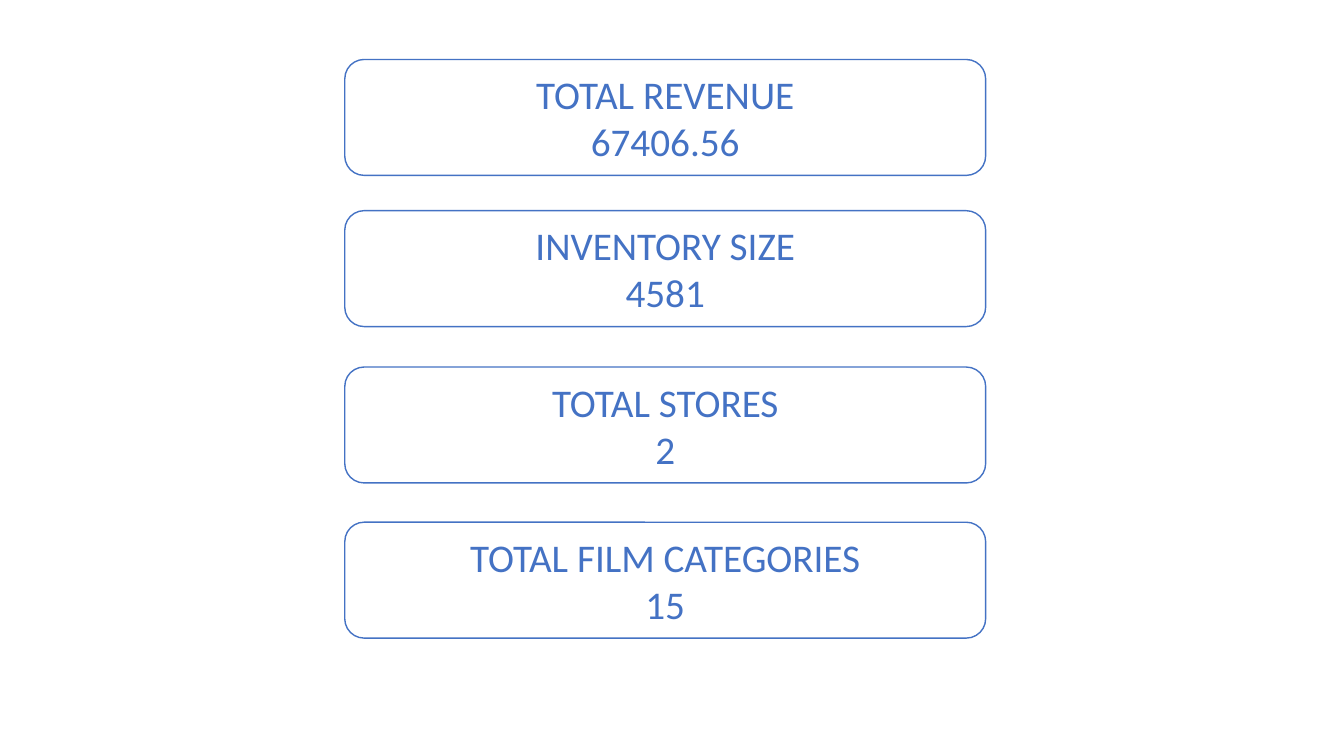
from pptx import Presentation
from pptx.dml.color import RGBColor
from pptx.enum import shapes, text
from pptx.util import Cm, Pt

BLUE = RGBColor(0x44, 0x72, 0xC4)
WHITE = RGBColor(0xFF, 0xFF, 0xFF)

# Top edge in cm, label, value
CARDS = [
    (1.5, "TOTAL REVENUE", "67406.56"),
    (5.31, "INVENTORY SIZE", "4581"),
    (9.25, "TOTAL STORES", "2"),
    (13.16, "TOTAL FILM CATEGORIES", "15"),
]


class Deck:
    font = {"name": "Calibri", "size": Pt(28)}
    frame = {"word_wrap": True, "vertical_anchor": text.MSO_ANCHOR.MIDDLE,
             "auto_size": text.MSO_AUTO_SIZE.SHAPE_TO_FIT_TEXT}

    def __init__(self):
        self.prs = Presentation()
        self.prs.slide_width = Cm(33.87)
        self.prs.slide_height = Cm(19.05)
        self.slide = self.prs.slides.add_slide(self.prs.slide_layouts[6])

    def card(self, left, top, width, height, lines):
        """Add an outlined round box with one centred paragraph per line."""
        box = self.slide.shapes.add_shape(
            shapes.MSO_SHAPE.ROUNDED_RECTANGLE,
            Cm(left), Cm(top), Cm(width), Cm(height))
        box.shadow.inherit = False
        box.fill.solid()
        box.fill.fore_color.rgb = WHITE
        box.line.color.rgb = BLUE
        box.line.width = Pt(1)
        body = box.text_frame
        for key, value in self.frame.items():
            setattr(body, key, value)
        body.text = "\n".join(lines)
        for para in body.paragraphs:
            para.alignment = text.PP_ALIGN.CENTER
            for run in para.runs:
                for key, value in self.font.items():
                    setattr(run.font, key, value)
                run.font.color.rgb = BLUE


def main():
    deck = Deck()
    for top, label, value in CARDS:
        deck.card(8.69, top, 16.15, 2.92, (label, value))
    deck.prs.save("out.pptx")


if __name__ == "__main__":
    main()
